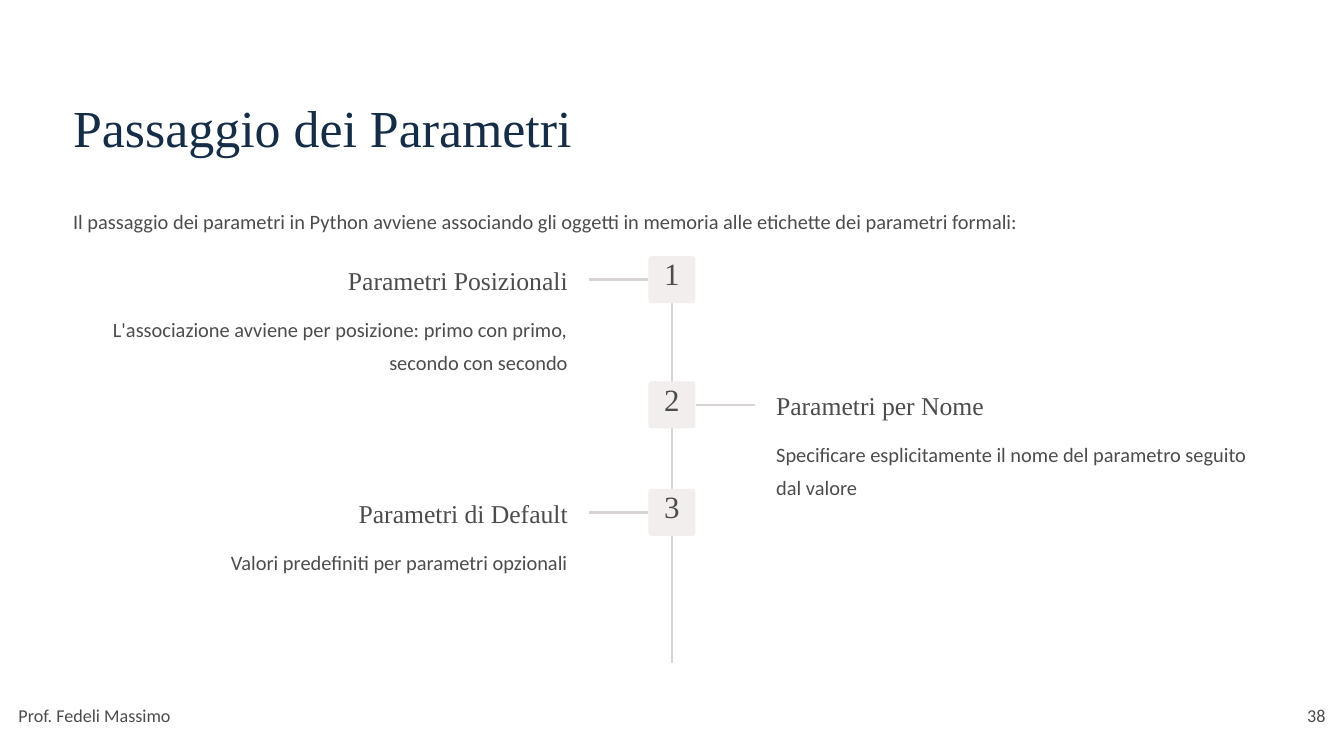
from pptx import Presentation
from pptx.dml.color import RGBColor
from pptx.enum.shapes import MSO_CONNECTOR as Connector, MSO_SHAPE as Shape
from pptx.enum.text import MSO_ANCHOR as Anchor, MSO_AUTO_SIZE as AutoSize, PP_ALIGN as Align
from pptx.oxml.ns import qn
from pptx.util import Inches, Pt

TITLE = "Passaggio dei Parametri"
INTRO = ("Il passaggio dei parametri in Python avviene associando gli oggetti in memoria "
         "alle etichette dei parametri formali:")
STEPS = [
    ("Parametri Posizionali",
     "L'associazione avviene per posizione: primo con primo, secondo con secondo", "left", 3.05, 0.79),
    ("Parametri per Nome",
     "Specificare esplicitamente il nome del parametro seguito dal valore", "right", 4.54, 0.79),
    ("Parametri di Default",
     "Valori predefiniti per parametri opzionali", "left", 5.82, 0.4),
]
AUTHOR = "Prof. Fedeli Massimo"
PAGE_NUMBER = "38"

WHITE = RGBColor(0xFF, 0xFF, 0xFF)
NAVY = RGBColor(0x15, 0x2D, 0x47)
GRAY = RGBColor(0x4C, 0x4C, 0x4D)
LINE = RGBColor(0xD8, 0xD4, 0xD4)
BADGE = RGBColor(0xF2, 0xEE, 0xEE)
SERIF, SANS = "Times New Roman", "Calibri"

WIDTH, MARGIN = 16, 0.87
CENTER = WIDTH / 2
SPINE_TOP, SPINE_BOTTOM = 3.05, 7.89
BADGE_SIZE, STUB_REACH, TEXT_GAP = 0.56, 0.99, 1.24
HEADING_WIDTH, DETAIL_WIDTH = 3.1, 5.89


def write(shape, text, size, spacing, font=SANS, color=GRAY, align=Align.LEFT, top_inset=0):
    frame = shape.text_frame
    frame.word_wrap = True
    frame.auto_size = AutoSize.NONE
    frame.vertical_anchor = Anchor.TOP
    frame.margin_left = frame.margin_right = frame.margin_bottom = 0
    frame.margin_top = Inches(top_inset)
    para = frame.paragraphs[0]
    para.alignment = align
    para.line_spacing = Pt(spacing)
    span = para.add_run()
    span.text = text
    span.font.name = font
    span.font.size = Pt(size)
    span.font.color.rgb = color


def add_text(page, at, text, size, spacing, **style):
    box = page.shapes.add_textbox(*map(Inches, at))
    write(box, text, size, spacing, **style)


def add_line(page, *ends):
    line = page.shapes.add_connector(Connector.STRAIGHT, *map(Inches, ends))
    line.line.color.rgb = LINE
    line.line.width = Pt(2.16)
    properties = line._element.spPr
    properties.append(properties.makeelement(qn("a:effectLst"), {}))
    return line


def add_step(page, number, heading, detail, side, top, detail_height):
    on_left = side == "left"
    direction = -1 if on_left else 1
    align = Align.RIGHT if on_left else Align.LEFT
    middle = top + BADGE_SIZE / 2

    badge = page.shapes.add_shape(Shape.ROUNDED_RECTANGLE, Inches(CENTER - BADGE_SIZE / 2),
                                  Inches(top), Inches(BADGE_SIZE), Inches(BADGE_SIZE))
    badge.adjustments[0] = 0.07
    badge.shadow.inherit = False
    badge.fill.solid()
    badge.fill.fore_color.rgb = BADGE
    badge.line.fill.background()
    write(badge, str(number), 26.5, 26.5, font=SERIF, align=Align.CENTER, top_inset=0.05)

    stub = add_line(page, CENTER + direction * BADGE_SIZE / 2, middle,
                    CENTER + direction * STUB_REACH, middle)
    stub.begin_connect(badge, 1 if on_left else 3)

    edge = CENTER + direction * TEXT_GAP
    heading_left = edge - HEADING_WIDTH if on_left else edge
    detail_left = edge - DETAIL_WIDTH if on_left else edge
    add_text(page, (heading_left, top + 0.09, HEADING_WIDTH, 0.39), heading, 22, 27.5,
             font=SERIF, align=align)
    add_text(page, (detail_left, top + 0.62, DETAIL_WIDTH, detail_height), detail, 17.5, 28.5,
             align=align)


def main():
    deck = Presentation()
    deck.slide_width, deck.slide_height = Inches(WIDTH), Inches(9)
    page = deck.slides.add_slide(deck.slide_layouts[5])
    page.background.fill.solid()
    page.background.fill.fore_color.rgb = WHITE

    title = page.shapes.title
    title.left, title.top, title.width, title.height = map(Inches, (MARGIN, 1.11, 6.2, 0.78))
    write(title, TITLE, 44.5, 55.5, font=SERIF, color=NAVY)
    add_text(page, (MARGIN, 2.38, WIDTH - 2 * MARGIN, 0.4), INTRO, 17.5, 28.5)

    add_line(page, CENTER, SPINE_TOP, CENTER, SPINE_BOTTOM)
    for number, step in enumerate(STEPS, start=1):
        add_step(page, number, *step)

    add_text(page, (0.22, 8.3, 2.38, 0.35), AUTHOR, 15.5, 25)
    add_text(page, (15.21, 8.3, 0.57, 0.35), PAGE_NUMBER, 15.5, 25, align=Align.RIGHT)
    deck.save("out.pptx")


if __name__ == "__main__":
    main()
